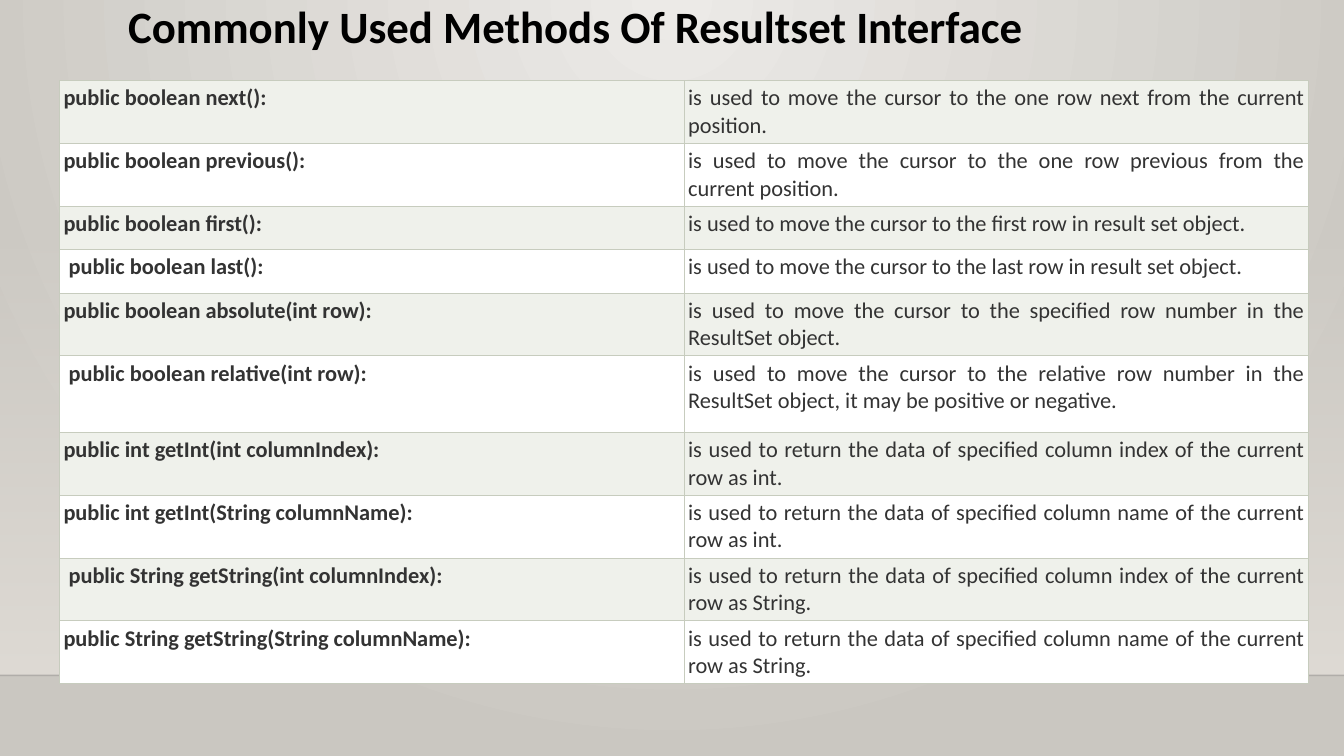
from lxml.etree import SubElement
from pptx import Presentation
from pptx.dml.color import RGBColor
from pptx.enum.shapes import MSO_CONNECTOR, MSO_SHAPE
from pptx.enum.text import MSO_ANCHOR, PP_ALIGN
from pptx.oxml.ns import qn
from pptx.util import Inches, Pt

FONT = "Calibri"
METHODS = [
    ("public boolean next():",
     "is used to move the cursor to the one row next from the current position."),
    ("public boolean previous():",
     "is used to move the cursor to the one row previous from the current position."),
    ("public boolean first():",
     "is used to move the cursor to the first row in result set object."),
    (" public boolean last():",
     "is used to move the cursor to the last row in result set object."),
    ("public boolean absolute(int row):",
     "is used to move the cursor to the specified row number in the ResultSet object."),
    (" public boolean relative(int row):",
     "is used to move the cursor to the relative row number in the ResultSet object, "
     "it may be positive or negative."),
    ("public int getInt(int columnIndex):",
     "is used to return the data of specified column index of the current row as int."),
    ("public int getInt(String columnName):",
     "is used to return the data of specified column name of the current row as int."),
    (" public String getString(int columnIndex):",
     "is used to return the data of specified column index of the current row as String."),
    ("public String getString(String columnName):",
     "is used to return the data of specified column name of the current row as String."),
]
ROW_HEIGHT = 0.59
SPECIAL_HEIGHTS = {2: 0.43, 3: 0.43, 5: 0.76}


def color(value):
    """Turn a hex string into a colour."""
    return RGBColor.from_string(value)


def set_gradient(fill, start, end):
    """Give a fill a gradient between two colours."""
    fill.gradient()
    for stop, value, position in zip(fill.gradient_stops, (start, end), (0, 1)):
        stop.color.rgb = color(value)
        stop.position = position


def set_alpha(color_element, percent):
    """Set the opacity of a colour element."""
    SubElement(color_element, qn("a:alpha"), val=str(percent * 1000))


def set_background(slide):
    """Light the slide with a radial gradient from the top centre."""
    set_gradient(slide.background.fill, "ECEAE7", "CAC7C1")
    gradient = next(slide.element.iter(qn("a:gradFill")))
    gradient.remove(gradient.find(qn("a:lin")))
    circle = SubElement(gradient, qn("a:path"), path="circle")
    SubElement(circle, qn("a:fillToRect"), l="43000", t="0", r="43000", b="100000")


def add_wall(slide):
    """Add the band that fades in down to the floor line."""
    wall = slide.shapes.add_shape(
        MSO_SHAPE.RECTANGLE, 0, Inches(2.21), Inches(13.33), Inches(4.49))
    wall.shadow.inherit = False
    wall.line.fill.background()
    set_gradient(wall.fill, "DFDBD5", "DFDBD5")
    wall.fill.gradient_angle = 270
    set_alpha(next(wall.element.iter(qn("a:srgbClr"))), 0)


def add_floor_line(slide):
    """Add the faint line where the wall meets the floor."""
    line = slide.shapes.add_connector(
        MSO_CONNECTOR.STRAIGHT, 0, Inches(6.7), Inches(13.33), Inches(6.7))
    line.line.width = Pt(1)
    line.line.color.rgb = color("000001")
    set_alpha(next(line.element.iter(qn("a:srgbClr"))), 20)
    SubElement(line.element.spPr, qn("a:effectLst"))


def format_title(slide, text):
    """Place and format the title placeholder."""
    title = slide.shapes.title
    title.left, title.top = Inches(1.17), Inches(0)
    title.width, title.height = Inches(10.74), Inches(0.69)
    frame = title.text_frame
    frame.text = text
    frame.vertical_anchor = MSO_ANCHOR.TOP
    paragraph = frame.paragraphs[0]
    paragraph.alignment = PP_ALIGN.LEFT
    paragraph.line_spacing = 0.9
    format_font(paragraph.font, 32, "000000", True)


def format_font(font, size, value, bold):
    """Set the typeface, size, colour and weight of a font."""
    font.name, font.size, font.bold = FONT, Pt(size), bold
    font.color.rgb = color(value)


def add_borders(cell):
    """Draw thin borders on all sides of a cell."""
    properties = cell._tc.get_or_add_tcPr()
    for index, side in enumerate(("a:lnL", "a:lnR", "a:lnT", "a:lnB")):
        border = properties.makeelement(qn(side), {"w": str(Pt(0.75))})
        properties.insert(index, border)
        fill = SubElement(border, qn("a:solidFill"))
        SubElement(fill, qn("a:srgbClr"), val="C7CCBE")


def fill_cell(cell, text, bold, background):
    """Write and format one table cell."""
    cell.text = text
    cell.margin_left = cell.margin_right = Inches(0.04)
    cell.margin_top = cell.margin_bottom = Inches(0.04)
    cell.fill.solid()
    cell.fill.fore_color.rgb = color(background)
    paragraph = cell.text_frame.paragraphs[0]
    paragraph.alignment = PP_ALIGN.JUSTIFY
    format_font(paragraph.font, 16, "333333", bold)
    add_borders(cell)


def add_method_table(slide):
    """Add the table of methods and their descriptions."""
    table = slide.shapes.add_table(
        len(METHODS), 2, Inches(0.59), Inches(0.8), Inches(12.39), Inches(5.91)).table
    table.first_row = table.horz_banding = False
    for row_index, texts in enumerate(METHODS):
        table.rows[row_index].height = Inches(SPECIAL_HEIGHTS.get(row_index, ROW_HEIGHT))
        background = "FFFFFF" if row_index % 2 else "EFF1EB"
        for column_index, text in enumerate(texts):
            fill_cell(table.cell(row_index, column_index), text, column_index == 0, background)


def main():
    """Build the slide and save it."""
    presentation = Presentation()
    presentation.slide_width, presentation.slide_height = Inches(13.33), Inches(7.5)
    slide = presentation.slides.add_slide(presentation.slide_layouts[5])
    set_background(slide)
    add_wall(slide)
    add_floor_line(slide)
    format_title(slide, "Commonly Used Methods Of Resultset Interface")
    add_method_table(slide)
    presentation.save("out.pptx")


if __name__ == "__main__":
    main()
